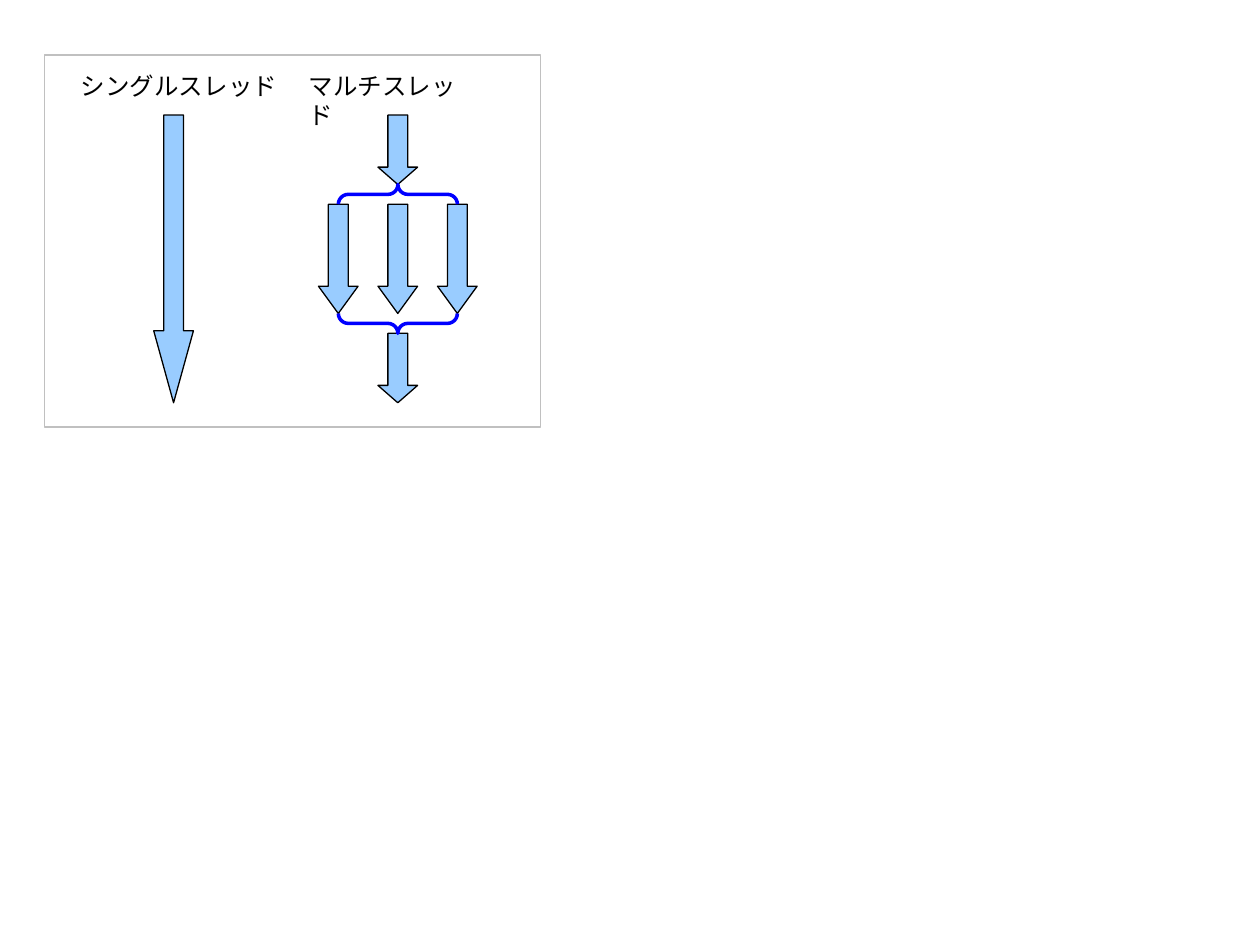
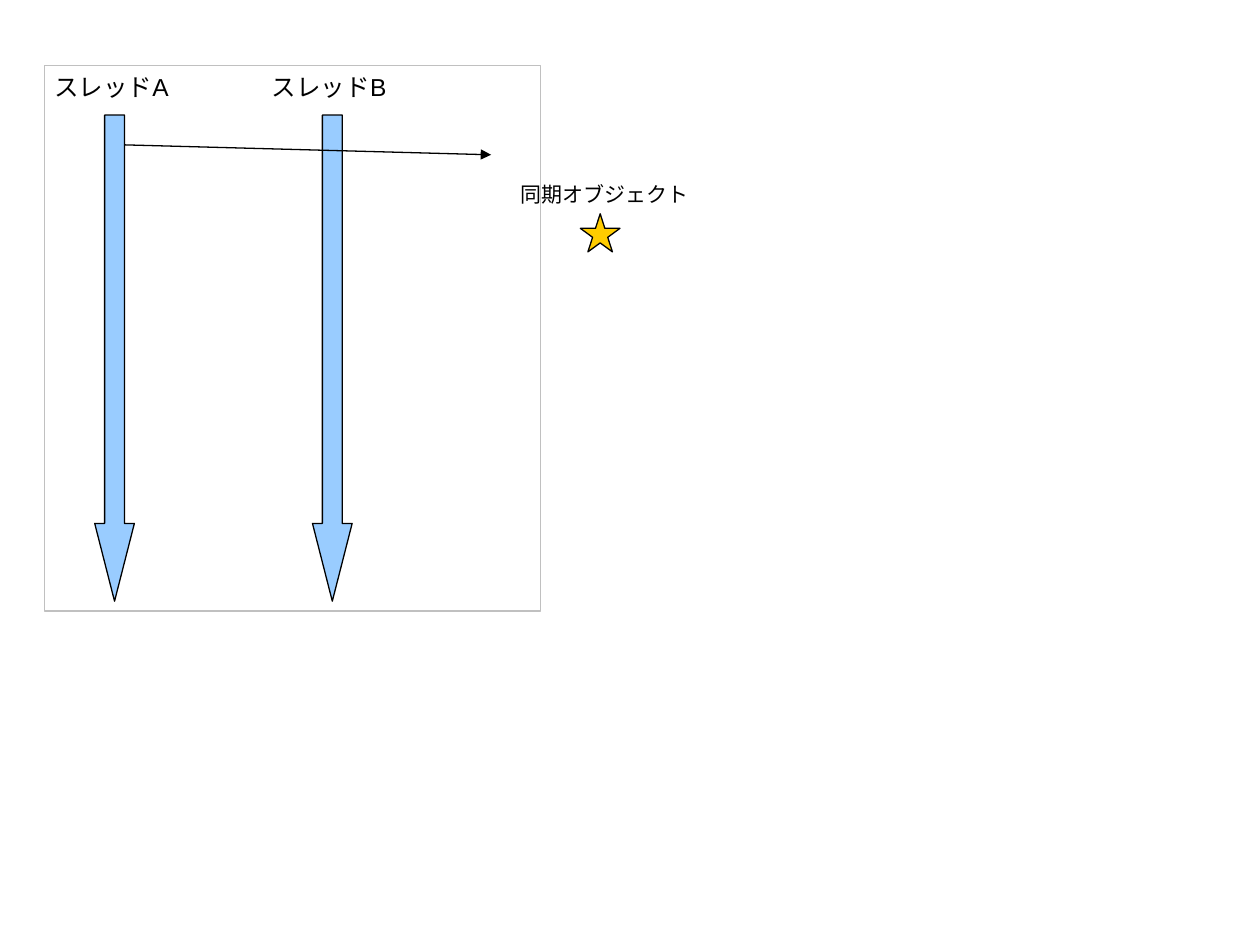
"""Two thread diagrams: single versus multi-threaded flow, and two threads with a sync object."""
from dataclasses import dataclass

from lxml import etree
from pptx import Presentation
from pptx.dml.color import RGBColor
from pptx.enum.shapes import MSO_CONNECTOR, MSO_SHAPE
from pptx.enum.text import MSO_ANCHOR, MSO_AUTO_SIZE, PP_ALIGN
from pptx.oxml.ns import qn
from pptx.util import Cm, Pt

RECT = MSO_SHAPE.RECTANGLE
DOWN_ARROW = MSO_SHAPE.DOWN_ARROW
BRACES = MSO_SHAPE.DOUBLE_BRACE
STAR = MSO_SHAPE.STAR_5_POINT
STRAIGHT = MSO_CONNECTOR.STRAIGHT
LEFT, TOP = PP_ALIGN.LEFT, MSO_ANCHOR.TOP
FIT = MSO_AUTO_SIZE.SHAPE_TO_FIT_TEXT


@dataclass(frozen=True)
class Theme:
    font: str = "Arial"
    text: str = "000000"
    line: str = "000000"
    frame: str = "C0C0C0"
    arrow: str = "99CCFF"
    brace: str = "0000FF"
    star: str = "FFCC00"
    label_pt: float = 14
    note_pt: float = 12
    thin_pt: float = 0.75
    thick_pt: float = 2


T = Theme()

FRAME_X, FRAME_W = 0.9, 10
FLOW_TOP = 2.32
ARROW_W = 0.8

FLOW = {
    "frame": (1.11, 7.5),
    "labels": [("シングルスレッド", 1.38, 1.3, 4.47), ("マルチスレッド", 5.97, 1.3, 3.96)],
    "single_x": 3.5,
    "multi_x": 8.02,
    "lane_gap": 1.2,
    "stage_h": 1.4,
    "lane_h": 2.2,
    "brace_gap": 0.4,
    "brace_r": 0.2,
    "head": 0.25,
}

SYNC = {
    "frame": (1.32, 11),
    "threads": [("スレッドA", 2.31), ("スレッドB", 6.7)],
    "label": (1.47, 1.33, 2.92),
    "arrow_h": 9.8,
    "head": 0.16,
    "note": ("同期オブジェクト", 10.24, 3.53, 3.89),
    "star": (11.7, 4.31, 0.8, 0.77),
    "call": (2.5, 2.92, 9.9, 3.12),
}


def add_figure(shapes, kind, x, y, w, h, fill=None, line=T.line, pt=T.thin_pt):
    sp = shapes.add_shape(kind, Cm(x), Cm(y), Cm(w), Cm(h))
    sp.shadow.inherit = False
    if fill:
        sp.fill.solid()
        sp.fill.fore_color.rgb = RGBColor.from_string(fill)
    else:
        sp.fill.background()
    sp.line.color.rgb = RGBColor.from_string(line)
    sp.line.width = Pt(pt)
    return sp


def add_frame(shapes, y, h):
    add_figure(shapes, RECT, FRAME_X, y, FRAME_W, h, line=T.frame)


def add_arrow(shapes, mid_x, y, h, head):
    sp = add_figure(shapes, DOWN_ARROW, mid_x - ARROW_W / 2, y, ARROW_W, h, T.arrow)
    sp.adjustments[0] = 0.5
    sp.adjustments[1] = head * h / ARROW_W


def add_label(shapes, text, x, y, w, pt=T.label_pt):
    sp = shapes.add_textbox(Cm(x), Cm(y), Cm(w), Cm(pt * 0.062))
    tf = sp.text_frame
    tf.word_wrap = False
    tf.auto_size = FIT
    tf.vertical_anchor = TOP
    p = tf.paragraphs[0]
    p.alignment = LEFT
    r = p.add_run()
    r.text = text
    r.font.name = T.font
    r.font.size = Pt(pt)
    r.font.color.rgb = RGBColor.from_string(T.text)


def add_call(shapes, x1, y1, x2, y2):
    cn = shapes.add_connector(STRAIGHT, Cm(x1), Cm(y1), Cm(x2), Cm(y2))
    cn.line.color.rgb = RGBColor.from_string(T.line)
    cn.line.width = Pt(T.thin_pt)
    ln = cn.line._get_or_add_ln()
    etree.SubElement(ln, qn("a:tailEnd"), type="triangle")
    etree.SubElement(cn._element.spPr, qn("a:effectLst"))


def build_flow(s, d):
    shapes = s.shapes.add_group_shape().shapes
    add_frame(shapes, *d["frame"])
    mid, gap, stage, lane = d["multi_x"], d["brace_gap"], d["stage_h"], d["lane_h"]
    fork = FLOW_TOP + stage
    join = fork + lane + 2 * gap
    add_arrow(shapes, d["single_x"], FLOW_TOP, join + stage - FLOW_TOP, d["head"])
    for i in (-1, 0, 1):
        add_arrow(shapes, mid + i * d["lane_gap"], fork + gap, lane, d["head"])
    for y in (FLOW_TOP, join):
        add_arrow(shapes, mid, y, stage, d["head"])
    w, h = join - fork, 2 * d["lane_gap"]
    sp = add_figure(shapes, BRACES, mid - w / 2, (fork + join - h) / 2, w, h,
                    line=T.brace, pt=T.thick_pt)
    sp.rotation = 90
    sp.adjustments[0] = d["brace_r"] / h
    for label in d["labels"]:
        add_label(shapes, *label)


def build_sync(s, d):
    shapes = s.shapes
    add_frame(shapes, *d["frame"])
    offset, y, w = d["label"]
    for name, x in d["threads"]:
        add_arrow(shapes, x, FLOW_TOP, d["arrow_h"], d["head"])
        add_label(shapes, name, x - offset, y, w)
    add_figure(shapes, STAR, *d["star"], fill=T.star)
    add_label(shapes, *d["note"], pt=T.note_pt)
    add_call(shapes, *d["call"])


def main():
    prs = Presentation()
    prs.slide_width, prs.slide_height = Cm(25.4), Cm(19.05)
    blank = prs.slide_layouts[6]
    for build, content in ((build_flow, FLOW), (build_sync, SYNC)):
        build(prs.slides.add_slide(blank), content)
    prs.save("out.pptx")


if __name__ == "__main__":
    main()
